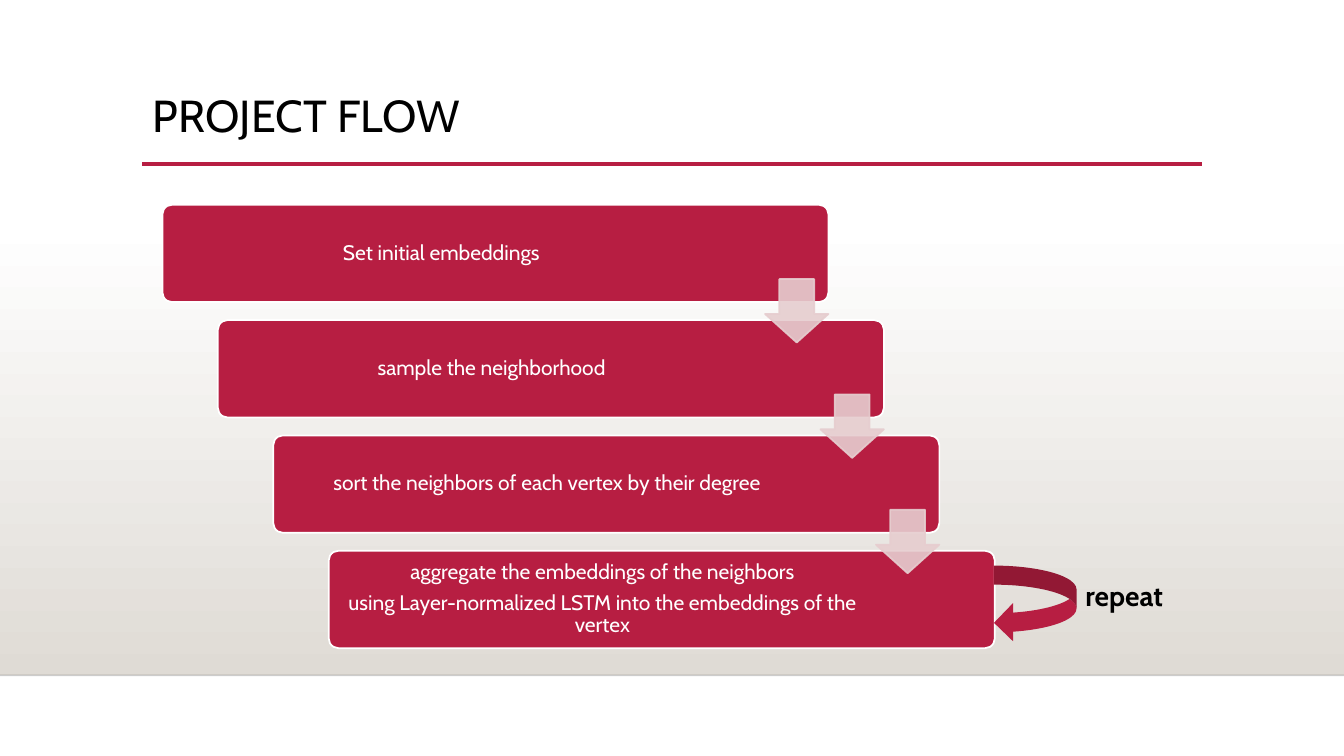
from dataclasses import dataclass

from lxml.etree import SubElement
from pptx import Presentation
from pptx.dml.color import RGBColor
from pptx.enum.shapes import MSO_CONNECTOR, MSO_SHAPE
from pptx.enum.text import MSO_ANCHOR, PP_ALIGN
from pptx.oxml.ns import qn
from pptx.util import Pt


@dataclass(frozen=True)
class Theme:
    font: str = "Cabin"
    accent: str = "B71E42"
    pale: str = "E6CDCF"
    floor: str = "DFDBD5"
    white: str = "FFFFFF"
    black: str = "000000"
    title_size: int = 32
    step_size: int = 15
    label_size: int = 20


def rgb(color):
    return RGBColor.from_string(color)


def set_alpha(fill_parent, percent):
    """Make the solid fill inside an XML element partly transparent."""
    color = fill_parent.find(qn("a:solidFill"))[0]
    SubElement(color, qn("a:alpha")).set("val", str(percent * 1000))


class SlideBuilder:
    def __init__(self, slide, theme):
        self.shapes = slide.shapes
        self.theme = theme

    def shape(self, kind, x, y, w, h, fill, line=None, adj=(), alpha=100):
        sp = self.shapes.add_shape(kind, Pt(x), Pt(y), Pt(w), Pt(h))
        sp.shadow.inherit = False
        for i, value in enumerate(adj):
            sp.adjustments[i] = value
        sp.fill.solid()
        sp.fill.fore_color.rgb = rgb(fill)
        if line:
            sp.line.color.rgb = rgb(line)
            sp.line.width = Pt(1.25)
        else:
            sp.line.fill.background()
        if alpha < 100:
            props = sp.element.spPr
            set_alpha(props, alpha)
            set_alpha(props.find(qn("a:ln")), alpha)
        return sp

    def gradient(self, x, y, w, h, top, bottom):
        sp = self.shape(MSO_SHAPE.RECTANGLE, x, y, w, h, bottom)
        sp.fill.gradient()
        sp.fill.gradient_angle = 270
        for stop, color in zip(sp.fill.gradient_stops, (top, bottom)):
            stop.color.rgb = rgb(color)

    def rule(self, x1, x2, y, color, width, alpha=100):
        line = self.shapes.add_connector(
            MSO_CONNECTOR.STRAIGHT, Pt(x1), Pt(y), Pt(x2), Pt(y))
        line.line.color.rgb = rgb(color)
        line.line.width = Pt(width)
        props = line.element.spPr
        if alpha < 100:
            set_alpha(props.find(qn("a:ln")), alpha)
        SubElement(props, qn("a:effectLst"))

    def text(self, x, y, w, h, lines, size, color, bold=False, spacing=1.0,
             after=0, align=PP_ALIGN.LEFT, anchor=MSO_ANCHOR.TOP, inset=None):
        tf = self.shapes.add_textbox(Pt(x), Pt(y), Pt(w), Pt(h)).text_frame
        tf.word_wrap = True
        tf.vertical_anchor = anchor
        if inset is not None:
            tf.margin_left = tf.margin_right = Pt(inset)
            tf.margin_top = tf.margin_bottom = Pt(inset)
        for i, line in enumerate(lines):
            p = tf.paragraphs[0] if i == 0 else tf.add_paragraph()
            p.alignment = align
            p.line_spacing = spacing
            p.space_after = Pt(after)
            r = p.add_run()
            r.text = line
            r.font.name = self.theme.font
            r.font.size = Pt(size)
            r.font.bold = bold
            r.font.color.rgb = rgb(color)

    def step(self, x, y, w, h, text_width, lines):
        t = self.theme
        self.shape(MSO_SHAPE.ROUNDED_RECTANGLE, x, y, w, h, t.accent, t.white, (0.1,))
        self.text(x + 2, y + 2, text_width, h - 4, lines, t.step_size, t.white,
                  spacing=0.9, after=5.5, align=PP_ALIGN.CENTER,
                  anchor=MSO_ANCHOR.MIDDLE, inset=4.5)

    def down_arrow(self, x, y, size):
        t = self.theme
        self.shape(MSO_SHAPE.DOWN_ARROW, x, y, size, size, t.pale, t.pale,
                   (0.55, 0.45), alpha=90)


STEPS = [
    ["Set initial embeddings"],
    ["sample the neighborhood"],
    ["sort the neighbors of each vertex by their degree"],
    ["aggregate the embeddings of the neighbors",
     "using Layer-normalized LSTM into the embeddings of the vertex"],
]
LEFT, TOP, STEP_W, STEP_H = 116, 146.2, 475.8, 69.6
SHIFT_X, SHIFT_Y = 39.6, 82.4
ARROW = 45.3


def main():
    prs = Presentation()
    prs.slide_width, prs.slide_height = Pt(960), Pt(540)
    theme = Theme()
    s = SlideBuilder(prs.slides.add_slide(prs.slide_layouts[6]), theme)

    s.gradient(0, 159, 960, 323.4, theme.white, theme.floor)
    s.rule(0, 960, 482.4, theme.black, 1, alpha=20)
    s.rule(101.5, 858.5, 117.2, theme.accent, 2.5)
    s.text(102.2, 63.4, 756, 82.8, ["PROJECT FLOW"], theme.title_size,
           theme.black, spacing=0.9)

    corners = [(LEFT + i * SHIFT_X, TOP + i * SHIFT_Y) for i in range(len(STEPS))]
    for i, ((x, y), lines) in enumerate(zip(corners, STEPS)):
        s.step(x, y, STEP_W, STEP_H, 387 if i else 394.5, lines)
    for x, y in corners[:-1]:
        s.down_arrow(x + STEP_W - ARROW, y + 53.2, ARROW)

    s.shape(MSO_SHAPE.CURVED_LEFT_ARROW, 710, 404, 59, 54.5, theme.accent)
    s.text(768.2, 409.7, 82.8, 31.5, ["repeat"], theme.label_size,
           theme.black, bold=True)
    prs.save("out.pptx")


if __name__ == "__main__":
    main()
